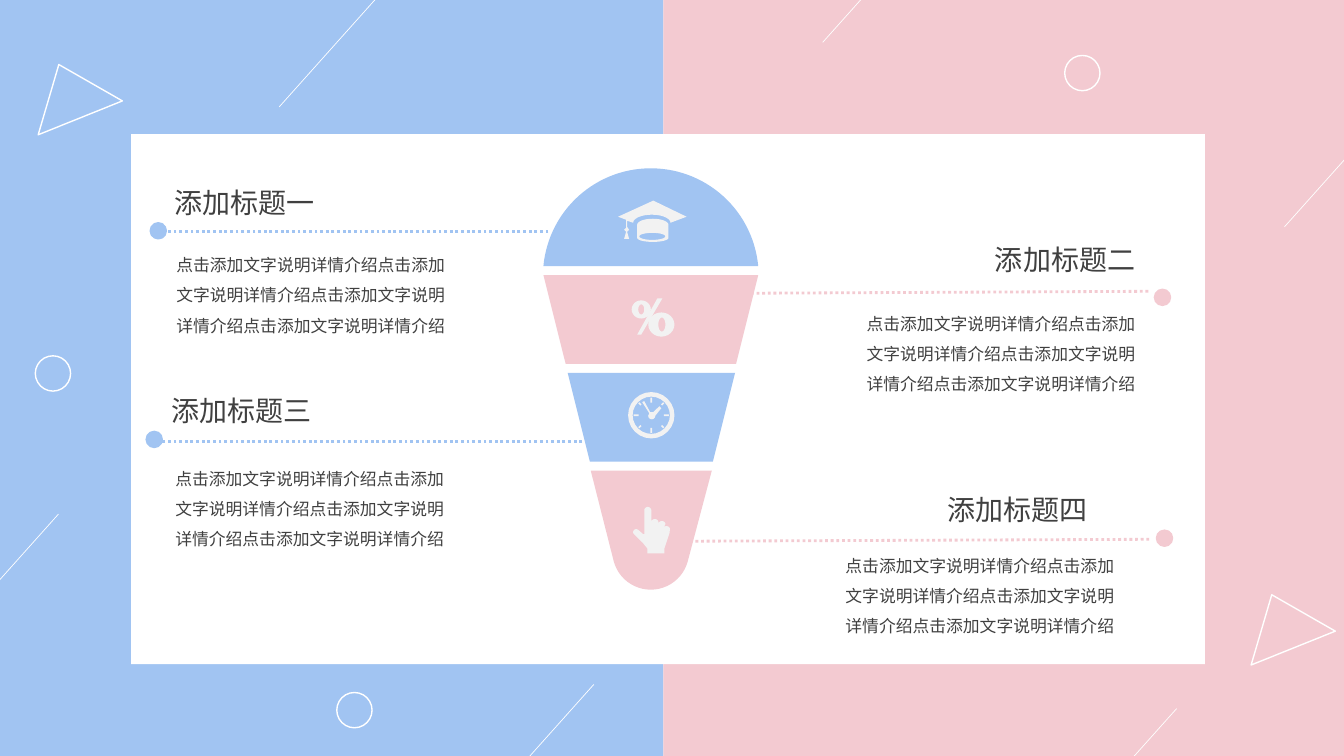
"""Slide with a four-part bulb and four captions on a two-colour ground."""
from math import cos, radians, sin

from lxml.etree import SubElement
from pptx import Presentation
from pptx.dml.color import RGBColor
from pptx.enum.dml import MSO_LINE
from pptx.enum.shapes import MSO_CONNECTOR, MSO_SHAPE as SHAPE
from pptx.enum.text import PP_ALIGN
from pptx.oxml.ns import qn
from pptx.util import Inches, Pt

BLUE = RGBColor(0xA1, 0xC4, 0xF2)
PINK = RGBColor(0xF3, 0xCA, 0xD1)
WHITE = RGBColor(0xFF, 0xFF, 0xFF)
ICON = RGBColor(0xF2, 0xF2, 0xF2)
TEXT = RGBColor(0x40, 0x40, 0x40)
FONT = "Noto Sans CJK SC"
W, H, SPLIT = 13.33, 7.5, 6.58
BODY = "点击添加文字说明详情介绍" * 4

prs = Presentation()
prs.slide_width, prs.slide_height = Inches(W), Inches(H)
s = prs.slides.add_slide(prs.slide_layouts[6])


def arc(cx, cy, rx, ry, start=0, end=360, steps=24):
    """Return points along an ellipse, with angles running clockwise from the right."""
    angles = [radians(start + (end - start) * i / steps) for i in range(steps + 1)]
    return [(cx + rx * cos(a), cy + ry * sin(a)) for a in angles]


def outline(color, *contours):
    """Draw closed contours as one filled shape; inner contours make holes."""
    paths = [[(Inches(x), Inches(y)) for x, y in points] for points in contours]
    fb = s.shapes.build_freeform(*paths[0][0])
    for i, points in enumerate(paths):
        if i:
            fb.move_to(*points[0])
        fb.add_line_segments(points[1:], close=True)
    sp = fb.convert_to_shape()
    sp.fill.solid()
    sp.fill.fore_color.rgb = color
    sp.line.fill.background()
    sp.shadow.inherit = False


RING, DOT = 0.35, 0.16
presets = [
    (SHAPE.RECTANGLE, 0, 0, SPLIT, H, 0, BLUE, None),
    (SHAPE.RECTANGLE, SPLIT, 0, W - SPLIT, H, 0, PINK, None),
    (SHAPE.RECTANGLE, 1.3, 1.33, 10.65, 5.26, 0, WHITE, None),
    (SHAPE.TRAPEZOID, 5.39, 2.73, 2.13, 0.88, 180, PINK, None),
    (SHAPE.TRAPEZOID, 5.63, 3.7, 1.66, 0.88, 180, BLUE, None),
]
for x, y in [(0.24, 0.62), (12.27, 5.88)]:
    presets.append((SHAPE.ISOSCELES_TRIANGLE, x, y, 0.9, 0.57, 338.1, None, WHITE))
for x, y in [(0.35, 3.53), (3.34, 6.87), (10.56, 0.55)]:
    presets.append((SHAPE.OVAL, x, y, RING, RING, 0, None, WHITE))
for x, y, color in [(1.49, 2.21, BLUE), (1.45, 4.28, BLUE), (11.45, 2.87, PINK), (11.47, 5.26, PINK)]:
    presets.append((SHAPE.OVAL, x, y, DOT, DOT, 0, color, color))

for kind, x, y, w, h, turn, fill, line in presets:
    sp = s.shapes.add_shape(kind, *map(Inches, (x, y, w, h)))
    sp.rotation = turn
    sp.shadow.inherit = False
    for part, color in [(sp.fill, fill), (sp.line.fill, line)]:
        if color is None:
            part.background()
        else:
            part.solid()
            part.fore_color.rgb = color
    if line is not None:
        sp.line.width = Pt(1)

strokes = [(5.44, 2.3, 1.63, 2.3, BLUE, 2), (5.83, 4.38, 1.55, 4.38, BLUE, 2),
           (7.28, 2.91, 11.4, 2.89, PINK, 2), (6.73, 5.37, 11.42, 5.35, PINK, 2)]
for x, y in [(2.77, 1.06), (8.16, 0.42), (4.38, 8.48), (10.16, 8.72), (12.74, 2.25), (-0.93, 6.79)]:
    strokes.append((x, y, x + 1.51, y - 1.69, WHITE, 0.5))
for x1, y1, x2, y2, color, width in strokes:
    cn = s.shapes.add_connector(MSO_CONNECTOR.STRAIGHT, *map(Inches, (x1, y1, x2, y2)))
    cn.line.color.rgb = color
    cn.line.width = Pt(width)
    if width == 2:
        cn.line.dash_style = MSO_LINE.ROUND_DOT
    SubElement(cn._element.spPr, qn("a:effectLst"))

MID = 6.455
outline(BLUE, arc(MID, 2.74, 1.07, 1.07, 185.4, 354.6, 60))
outline(PINK, [(5.86, 4.67), (7.06, 4.67)] + arc(MID, 5.47, 0.38, 0.38, 15, 165))

cap_board = arc(6.465, 2.21, 0.185, 0.08, 0, -180) + [
    (6.22, 2.19), (6.22, 2.25), (6.24, 2.28), (6.22, 2.3), (6.24, 2.37), (6.19, 2.37), (6.21, 2.3),
    (6.19, 2.28), (6.21, 2.26), (6.21, 2.18), (6.13, 2.15), (6.48, 1.99), (6.81, 2.15)]
cap_body = arc(6.475, 2.23, 0.155, 0.06, 180, 360) + arc(6.475, 2.36, 0.155, 0.04, 0, 180)
outline(ICON, cap_board, cap_body, arc(6.47, 2.345, 0.13, 0.035))

outline(ICON, arc(6.36, 3.07, 0.095, 0.09), arc(6.36, 3.07, 0.03, 0.05))
outline(ICON, [(6.52, 2.96), (6.57, 2.96), (6.36, 3.32), (6.32, 3.32)])
outline(ICON, arc(6.56, 3.22, 0.13, 0.12), arc(6.565, 3.22, 0.035, 0.07))

CX, CY = 6.46, 4.12
ticks = []
for k in range(8):
    c, n = cos(radians(45 * k)), sin(radians(45 * k))
    inner = 0.145 if k % 2 else 0.125
    corners = [(inner, -0.008), (0.175, -0.008), (0.175, 0.008), (inner, 0.008)]
    ticks.append([(CX + r * c - d * n, CY + r * n + d * c) for r, d in corners])
hands = [(6.48, 4.09), (6.45, 4.09), (6.39, 3.98), (6.37, 3.99), (6.44, 4.1)]
hands += arc(6.465, 4.125, 0.035, 0.035, 180, 0) + [(6.56, 4.05), (6.54, 4.03)]
outline(ICON, arc(CX, CY, 0.23, 0.23), arc(CX, CY, 0.185, 0.185), hands, *ticks)

pointing_hand = [(6.39, 5.3)] + arc(6.425, 5.065, 0.035, 0.035, 180, 360)
for x, y in [(6.495, 5.18), (6.565, 5.2), (6.61, 5.25)]:
    pointing_hand += arc(x, y, 0.035, 0.03, 180, 360)
pointing_hand += [(6.64, 5.29), (6.59, 5.44), (6.59, 5.49), (6.42, 5.49), (6.42, 5.44), (6.37, 5.38)]
pointing_hand += arc(6.31, 5.28, 0.03, 0.03, 135, 315) + [(6.38, 5.3)]
outline(ICON, pointing_hand)

LEFT, RIGHT = PP_ALIGN.LEFT, PP_ALIGN.RIGHT
captions = [("添加标题一", 1.63, 1.79, 1.65, 2.38, LEFT), ("添加标题二", 9.77, 2.36, 8.45, 2.96, RIGHT),
            ("添加标题三", 1.6, 3.85, 1.64, 4.5, LEFT), ("添加标题四", 9.3, 4.84, 8.24, 5.36, RIGHT)]
for title, tx, ty, bx, by, align in captions:
    for text, x, y, w, h, size, form in [
            (title, tx, ty, 1.99, 0.44, 20, {"alignment": LEFT}),
            (BODY, bx, by, 2.91, 1.31, 12, {"alignment": align, "line_spacing": 1.5})]:
        tf = s.shapes.add_textbox(*map(Inches, (x, y, w, h))).text_frame
        tf.word_wrap = True
        p = tf.paragraphs[0]
        for name, value in form.items():
            setattr(p, name, value)
        r = p.add_run()
        r.text = text
        r.font.color.rgb = TEXT
        for name, value in {"size": Pt(size), "name": FONT}.items():
            setattr(r.font, name, value)
        SubElement(r._r.get_or_add_rPr(), qn("a:ea")).set("typeface", FONT)

prs.save("out.pptx")
